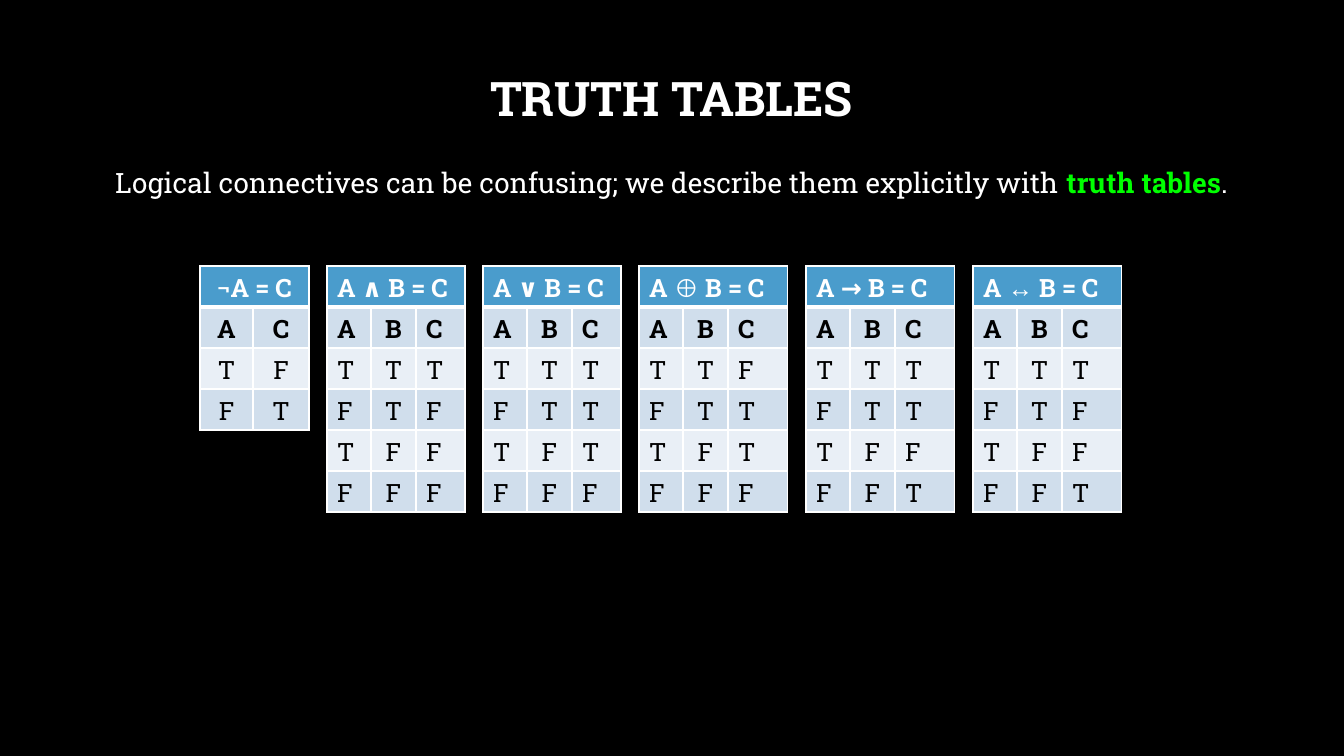
from itertools import product

from lxml.etree import SubElement
from pptx import Presentation
from pptx.dml.color import RGBColor
from pptx.enum.text import MSO_ANCHOR as Anchor, PP_ALIGN as Align
from pptx.oxml.ns import qn
from pptx.util import Emu, Pt

EMU_PER_PX = 914400 / 100.8
WHITE, BLACK, GREEN = "FFFFFF", "000000", "00FF00"
HEADER_BLUE, BAND_DARK, BAND_LIGHT = "4A9CCC", "D0DEEC", "E9EFF6"


def px(length):
    return Emu(round(length * EMU_PER_PX))


def color(hex_string):
    return RGBColor.from_string(hex_string)


class SlideBuilder:
    font_name = "Roboto Slab"
    symbol_font = "Arial"
    table_size = 18
    row_height = 41

    def __init__(self, presentation):
        self.slide = presentation.slides.add_slide(presentation.slide_layouts[6])
        fill = self.slide.background.fill
        fill.solid()
        fill.fore_color.rgb = color(BLACK)

    def style(self, font, size, hex_string, bold=False):
        font.name = self.font_name
        font.size = Pt(size)
        font.bold = bold
        font.color.rgb = color(hex_string)

    def text(self, left, top, width, height, runs, size, bold=False,
             anchor=Anchor.TOP, line_spacing=1.0, space_before=0):
        """Add a centred white text box; runs are (text, accent colour or None)."""
        box = self.slide.shapes.add_textbox(px(left), px(top), px(width), px(height))
        frame = box.text_frame
        frame.word_wrap = True
        frame.vertical_anchor = anchor
        paragraph = frame.paragraphs[0]
        paragraph.alignment = Align.CENTER
        paragraph.line_spacing = line_spacing
        paragraph.space_before = Pt(space_before)
        self.style(paragraph.font, size, WHITE, bold)
        for content, accent in runs:
            run = paragraph.add_run()
            run.text = content
            if accent:
                run.font.bold = True
                run.font.color.rgb = color(accent)

    def borders(self, cell, row):
        """Draw thin white borders, with a thick one under the header row."""
        widths = {"L": 1, "R": 1, "T": 3 if row == 1 else 1, "B": 3 if row == 0 else 1}
        properties = cell._tc.get_or_add_tcPr()
        for side, points in widths.items():
            line = SubElement(properties, qn(f"a:ln{side}"), w=str(Pt(points)))
            SubElement(SubElement(line, qn("a:solidFill")), qn("a:srgbClr"), val=WHITE)

    def cell(self, cell, row, parts, alignment):
        self.borders(cell, row)
        cell.fill.solid()
        band = BAND_DARK if row % 2 else BAND_LIGHT
        cell.fill.fore_color.rgb = color(band if row else HEADER_BLUE)
        paragraph = cell.text_frame.paragraphs[0]
        paragraph.alignment = alignment
        self.style(paragraph.font, self.table_size, BLACK if row else WHITE, row < 2)
        for part in parts:
            run = paragraph.add_run()
            run.text = part
            if part in ("⊕", "↔"):
                run.font.name = self.symbol_font

    def truth_table(self, left, top, column_widths, formula, rows, alignments):
        """Add a table with the formula's parts as its header across all columns."""
        count = len(column_widths)
        frame = self.slide.shapes.add_table(
            len(rows) + 1, count, px(left), px(top),
            px(sum(column_widths)), px(self.row_height * (len(rows) + 1)))
        table = frame.table
        table.first_row = table.horz_banding = False
        for column, width in zip(table.columns, column_widths):
            column.width = px(width)
        table.cell(0, 0).merge(table.cell(0, count - 1))
        header = [formula] + [()] * (count - 1)
        for row, values in enumerate([header, *rows]):
            for column, parts in enumerate(values):
                self.cell(table.cell(row, column), row, parts, alignments[column])


def main():
    presentation = Presentation()
    presentation.slide_width, presentation.slide_height = px(1344), px(756)
    builder = SlideBuilder(presentation)
    builder.text(101, 49, 1141, 105, [("TRUTH TABLES", None)], 34, bold=True,
                 anchor=Anchor.MIDDLE, line_spacing=0.9)
    builder.text(101, 154, 1141, 71, [
        ("Logical connectives can be confusing; we describe them explicitly with ", None),
        ("truth tables", GREEN),
        (".", None),
    ], 20, line_spacing=1.2, space_before=10)

    left, top, gap = 200, 266, 18
    negation_widths = (53, 56)
    builder.truth_table(left, top, negation_widths, ["¬A = C"],
                        ["AC", "TF", "FT"], [Align.CENTER] * 2)
    left += sum(negation_widths) + gap

    # Results follow the rows TT, FT, TF, FF of A and B.
    connectives = [("∧", "TFFF", 49), ("∨", "TTTF", 49), ("⊕", "FTTF", 60),
                   ("→", "TTFT", 60), ("↔", "TFFT", 60)]
    for symbol, results, result_width in connectives:
        widths = (44, 45, result_width)
        rows = ["ABC"] + [a + b + c for (b, a), c in zip(product("TF", repeat=2), results)]
        builder.truth_table(left, top, widths, ["A ", symbol, " B = C"], rows,
                            [Align.LEFT, Align.CENTER, Align.LEFT])
        left += sum(widths) + gap

    presentation.save("out.pptx")


if __name__ == "__main__":
    main()
